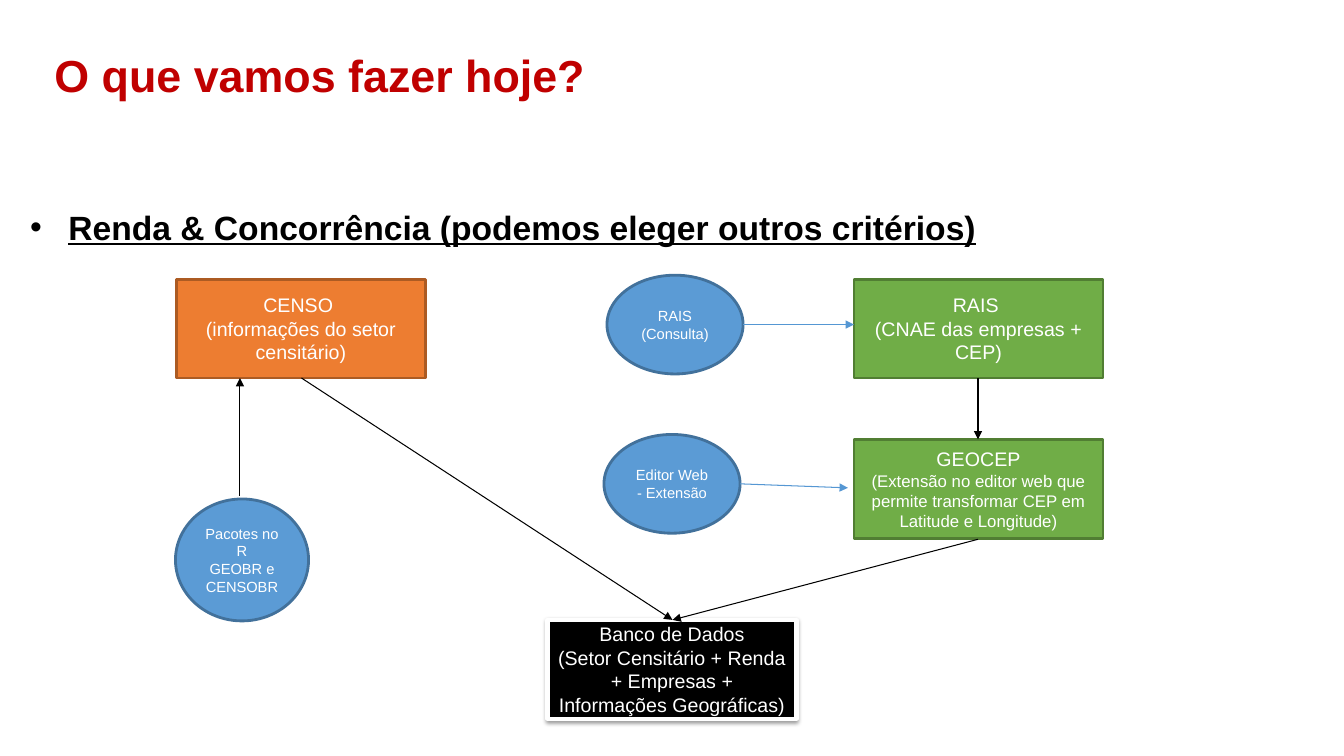
from dataclasses import dataclass

from lxml.etree import SubElement
from pptx import Presentation
from pptx.dml.color import RGBColor
from pptx.enum.shapes import MSO_CONNECTOR, MSO_SHAPE
from pptx.enum.text import MSO_ANCHOR, MSO_AUTO_SIZE, PP_ALIGN
from pptx.oxml.ns import qn
from pptx.util import Inches, Pt


@dataclass(frozen=True)
class Theme:
    font: str = "Arial"
    red: str = "C00000"
    black: str = "000000"
    white: str = "FFFFFF"
    orange: str = "ED7D31"
    rust: str = "AC5B23"
    green: str = "70AD47"
    moss: str = "517E33"
    blue: str = "5B9BD5"
    navy: str = "42719B"
    sky: str = "5597D3"
    title: float = 32
    lead: float = 24
    body: float = 14
    note: float = 12
    small: float = 10.5
    thin: float = 0.75


@dataclass(frozen=True)
class Node:
    left: float
    top: float
    lines: tuple[str, ...]
    fill: str
    edge: str
    sizes: tuple[float, ...]
    wide: float = 2.47
    high: float = 0.98
    form: MSO_SHAPE = MSO_SHAPE.RECTANGLE
    weight: float = 2
    shade: bool = False


@dataclass(frozen=True)
class Arrow:
    start: tuple[float, float]
    end: tuple[float, float]
    color: str


THEME = Theme()


def paint(font, size: float, color: str, bold: bool = False) -> None:
    font.name = THEME.font
    font.size = Pt(size)
    font.bold = bold
    font.color.rgb = RGBColor.from_string(color)


def add_shade(shape) -> None:
    effect = shape.element.spPr.find(qn("a:effectLst"))
    outer = SubElement(effect, qn("a:outerShdw"), blurRad=str(Pt(3.1)),
                       dist=str(Pt(1.6)), dir="5400000", rotWithShape="0")
    color = SubElement(outer, qn("a:srgbClr"), val=THEME.black)
    SubElement(color, qn("a:alpha"), val="38000")


def draw_node(slide, node: Node) -> None:
    shape = slide.shapes.add_shape(node.form, Inches(node.left), Inches(node.top),
                                   Inches(node.wide), Inches(node.high))
    shape.shadow.inherit = False
    shape.fill.solid()
    shape.fill.fore_color.rgb = RGBColor.from_string(node.fill)
    shape.line.color.rgb = RGBColor.from_string(node.edge)
    shape.line.width = Pt(node.weight)
    if node.shade:
        add_shade(shape)
    frame = shape.text_frame
    frame.word_wrap = True
    frame.vertical_anchor = MSO_ANCHOR.MIDDLE
    for i, (line, size) in enumerate(zip(node.lines, node.sizes)):
        para = frame.add_paragraph() if i else frame.paragraphs[0]
        para.text = line
        para.alignment = PP_ALIGN.CENTER
        for run in para.runs:
            paint(run.font, size, THEME.white)


def draw_arrow(slide, arrow: Arrow) -> None:
    link = slide.shapes.add_connector(MSO_CONNECTOR.STRAIGHT,
                                      *map(Inches, arrow.start + arrow.end))
    link.line.color.rgb = RGBColor.from_string(arrow.color)
    link.line.width = Pt(THEME.thin)
    props = link.element.spPr
    SubElement(props.find(qn("a:ln")), qn("a:tailEnd"), type="triangle")
    SubElement(props, qn("a:effectLst"))


def draw_title(slide, text: str) -> None:
    title = slide.shapes.title
    title.left, title.top, title.width, title.height = map(Inches, (0.44, 0.24, 10, 1.07))
    frame = title.text_frame
    frame.text = text
    frame.word_wrap = True
    frame.auto_size = MSO_AUTO_SIZE.NONE
    frame.vertical_anchor = MSO_ANCHOR.MIDDLE
    para = frame.paragraphs[0]
    para.alignment = PP_ALIGN.LEFT
    para.line_spacing = 0.9
    paint(para.runs[0].font, THEME.title, THEME.red, bold=True)


def draw_lead(slide, text: str) -> None:
    box = slide.shapes.add_textbox(*map(Inches, (0.2, 1.55, 12.92, 1.82)))
    frame = box.text_frame
    frame.text = text
    frame.word_wrap = True
    frame.auto_size = MSO_AUTO_SIZE.SHAPE_TO_FIT_TEXT
    frame.margin_top = frame.margin_bottom = Inches(0.1)
    para = frame.paragraphs[0]
    para.alignment = PP_ALIGN.JUSTIFY
    para.line_spacing = 2.0
    font = para.runs[0].font
    paint(font, THEME.lead, THEME.black, bold=True)
    font.underline = True
    # Hanging bullet
    props = para._p.get_or_add_pPr()
    props.set("marL", str(Inches(0.38)))
    props.set("indent", str(Inches(-0.38)))
    color = SubElement(props, qn("a:buClr"))
    SubElement(color, qn("a:srgbClr"), val=THEME.black)
    SubElement(props, qn("a:buFont"), typeface=THEME.font)
    SubElement(props, qn("a:buChar"), char="•")


def oval(left: float, top: float, *lines: str,
         wide: float = 1.35, high: float = 0.98) -> Node:
    return Node(left, top, lines, THEME.blue, THEME.navy, (THEME.small,) * len(lines),
                wide, high, MSO_SHAPE.OVAL)


PAIR = (THEME.body, THEME.body)

NODES = (
    Node(1.75, 2.77, ("CENSO ", "(informações do setor censitário)"),
         THEME.orange, THEME.rust, PAIR),
    Node(8.47, 2.77, ("RAIS ", "(CNAE das empresas + CEP)"),
         THEME.green, THEME.moss, PAIR),
    Node(8.47, 4.36,
         ("GEOCEP", "(Extensão no editor web que permite transformar CEP em "
                    "Latitude e Longitude)"),
         THEME.green, THEME.moss, (THEME.body, THEME.note)),
    Node(5.43, 6.15,
         ("Banco de Dados", "(Setor Censitário + Renda + Empresas + "
                            "Informações Geográficas)"),
         THEME.black, THEME.white, PAIR, weight=3, shade=True),
    oval(1.74, 4.95, "Pacotes no R\nGEOBR e CENSOBR", wide=1.32, high=1.21),
    oval(6.02, 2.73, "RAIS", "(Consulta)"),
    oval(5.99, 4.31, "Editor Web - Extensão"),
)

ARROWS = (
    Arrow((2.99, 3.75), (6.67, 6.15), THEME.black),
    Arrow((9.7, 3.75), (9.7, 4.36), THEME.black),
    Arrow((9.7, 5.35), (6.67, 6.15), THEME.black),
    Arrow((2.38, 4.92), (2.38, 3.75), THEME.black),
    Arrow((7.37, 3.22), (8.47, 3.22), THEME.sky),
    Arrow((7.34, 4.8), (8.41, 4.84), THEME.sky),
)


def main() -> None:
    deck = Presentation()
    deck.slide_width, deck.slide_height = Inches(13.33), Inches(7.5)
    slide = deck.slides.add_slide(deck.slide_layouts[5])

    # Headings
    draw_title(slide, "O que vamos fazer hoje?")
    draw_lead(slide, "Renda & Concorrência (podemos eleger outros critérios)")

    # Data flow
    for node in NODES:
        draw_node(slide, node)
    for arrow in ARROWS:
        draw_arrow(slide, arrow)

    deck.save("out.pptx")


if __name__ == "__main__":
    main()
